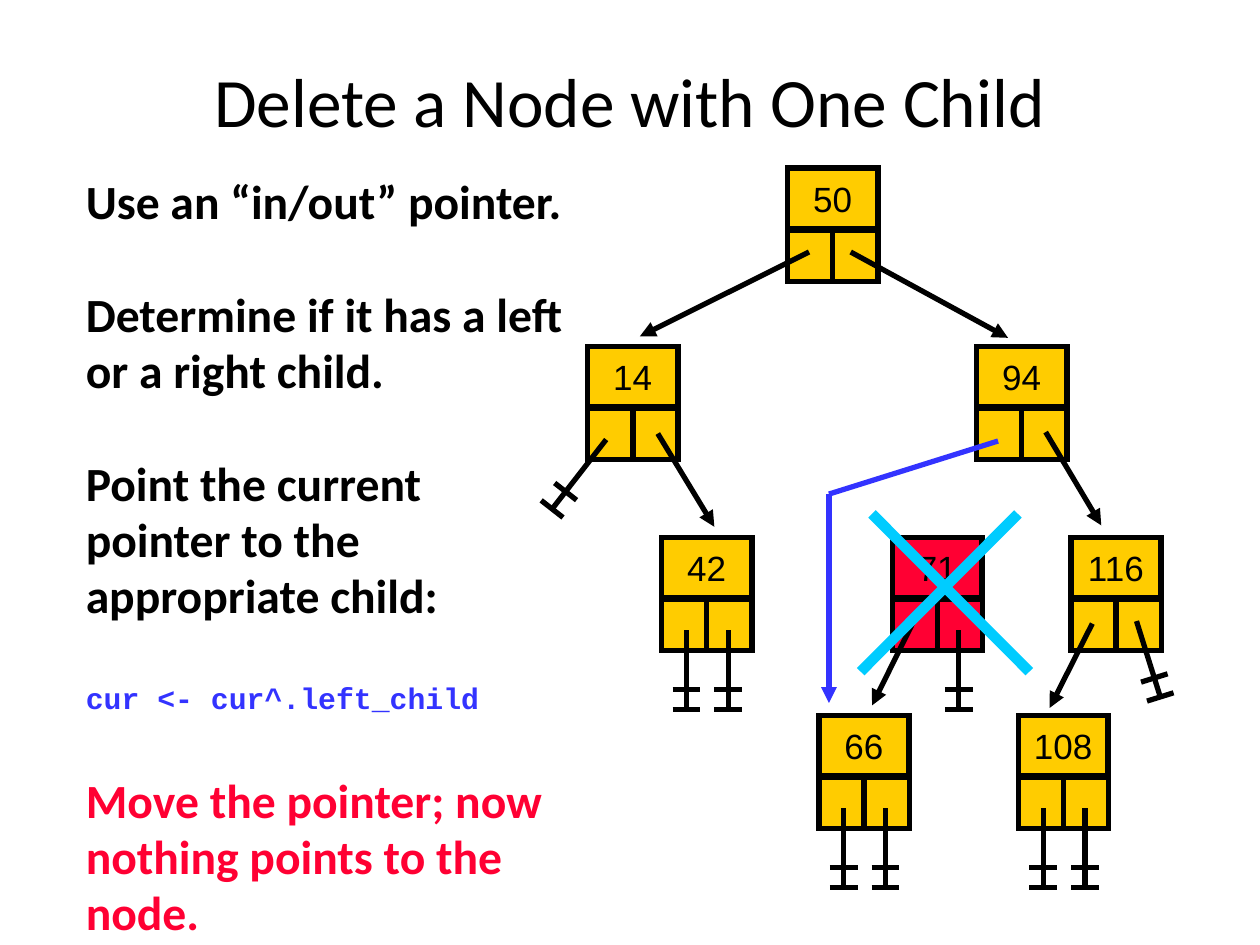
from dataclasses import dataclass
from math import hypot

from lxml import etree
from pptx import Presentation
from pptx import util as u
from pptx.dml.color import RGBColor
from pptx.enum import shapes, text
from pptx.oxml import ns

BLACK, GOLD, RED, BLUE, CYAN = "000000", "FFCC00", "FF0033", "3333FF", "00CCFF"

# Node geometry in cm
NODE_WIDTH, KEY_HEIGHT, LINK_HEIGHT = 1.82, 1.25, 1.04
LEVELS = (3.39, 6.98, 10.83, 14.42)
NULL_OFFSETS = {"L": 0.5, "R": 1.34}
NULL_TOP, NULL_LENGTH, BAR_HALF = 1.87, 1.6, 0.28


@dataclass
class Node:
    key: str
    left: float
    level: int
    nulls: str = ""
    fill: str = GOLD


@dataclass
class Line:
    start: tuple[float, float]
    end: tuple[float, float]
    color: str = BLACK
    width: float = 3
    arrow: bool = True


@dataclass
class Passage:
    words: str
    color: str = BLACK
    font: str = "Calibri"
    size: float = 27.2


NODES = [
    Node("14", 11.85, 1),
    Node("50", 15.88, 0),
    Node("94", 19.69, 1),
    Node("71", 17.99, 2, "R", RED),
    Node("116", 21.59, 2),
    Node("108", 20.53, 3, "LR"),
    Node("66", 16.51, 3, "LR"),
    Node("42", 13.34, 2, "LR"),
]
CHILD_POINTERS = [
    Line((13.26, 8.74), (14.4, 10.62)),
    Line((16.31, 5.08), (12.9, 6.78)),
    Line((17.15, 5.08), (20.32, 6.81)),
    Line((21.08, 8.71), (22.2, 10.59)),
    Line((18.42, 12.52), (17.58, 14.22)),
    Line((22.02, 12.57), (21.16, 14.27)),
]
SLANTED_NULLS = [((22.91, 12.52), (23.39, 14.05)), ((12.22, 8.86), (11.13, 10.26))]
NEW_POINTER = [
    Line((16.71, 9.96), (16.71, 14.17), BLUE),
    Line((16.71, 9.96), (20.12, 8.89), BLUE, arrow=False),
]
CROSS = [
    Line((20.52, 10.36), (17.35, 13.54), CYAN, 6, False),
    Line((17.58, 10.36), (20.75, 13.54), CYAN, 6, False),
]
STEPS = [
    Passage("Use an “in/out” pointer."),
    Passage("Determine if it has a left or a right child."),
    Passage("Point the current \vpointer to the appropriate child:"),
    Passage("cur <- cur^.left_child", BLUE, "Courier New", 17),
    Passage("Move the pointer; now nothing points to the node.", RED),
]


def rgb(color: str) -> RGBColor:
    return RGBColor.from_string(color)


def style(paragraph, font: str, size: float, color: str, bold: bool = False) -> None:
    paragraph.font.name = font
    paragraph.font.size = u.Pt(size)
    paragraph.font.bold = bold
    paragraph.font.color.rgb = rgb(color)


def add_text_frame(slide, left: float, top: float, width: float, height: float):
    box = slide.shapes.add_textbox(u.Cm(left), u.Cm(top), u.Cm(width), u.Cm(height))
    box.text_frame.word_wrap = True
    return box.text_frame


def draw_line(parent, line: Line) -> None:
    ends = [u.Cm(value) for value in (*line.start, *line.end)]
    connector = parent.shapes.add_connector(shapes.MSO_CONNECTOR.STRAIGHT, *ends)
    connector.line.color.rgb = rgb(line.color)
    connector.line.width = u.Pt(line.width)
    properties = connector._element.spPr
    if line.arrow:
        etree.SubElement(properties.get_or_add_ln(), ns.qn("a:tailEnd"), type="triangle")
    etree.SubElement(properties, ns.qn("a:effectLst"))


def draw_cell(parent, left: float, top: float, width: float, height: float, fill: str):
    cell = parent.shapes.add_shape(
        shapes.MSO_SHAPE.RECTANGLE, u.Cm(left), u.Cm(top), u.Cm(width), u.Cm(height))
    cell.shadow.inherit = False
    cell.fill.solid()
    cell.fill.fore_color.rgb = rgb(fill)
    cell.line.color.rgb = rgb(BLACK)
    cell.line.width = u.Pt(3)
    etree.SubElement(cell._element.spPr.get_or_add_ln(), ns.qn("a:miter"), lim="800000")
    return cell


def draw_node(slide, node: Node) -> None:
    group = slide.shapes.add_group_shape()
    top, half = LEVELS[node.level], NODE_WIDTH / 2
    draw_cell(group, node.left, top, NODE_WIDTH, KEY_HEIGHT, node.fill)
    for link_left in (node.left, node.left + half):
        draw_cell(group, link_left, top + KEY_HEIGHT, half, LINK_HEIGHT, node.fill)
    key = draw_cell(group, node.left, top, NODE_WIDTH - 0.01, KEY_HEIGHT - 0.03, node.fill)
    frame = key.text_frame
    frame.word_wrap = False
    frame.vertical_anchor = text.MSO_ANCHOR.MIDDLE
    label = frame.paragraphs[0]
    label.text = node.key
    label.alignment = text.PP_ALIGN.CENTER
    style(label, "Arial", 20, BLACK)


def draw_null(slide, start: tuple[float, float], end: tuple[float, float]) -> None:
    """Draw a stem with two bars across it, at three quarters and at its end."""
    group = slide.shapes.add_group_shape()
    draw_line(group, Line(start, end, arrow=False))
    dx, dy = end[0] - start[0], end[1] - start[1]
    across_x, across_y = (BAR_HALF * d / hypot(dx, dy) for d in (dy, -dx))
    for share in (0.75, 1):
        x, y = start[0] + share * dx, start[1] + share * dy
        draw_line(group, Line((x - across_x, y - across_y),
                              (x + across_x, y + across_y), arrow=False))


def main() -> None:
    deck = Presentation()
    deck.slide_width, deck.slide_height = u.Cm(25.4), u.Cm(19.05)
    slide = deck.slides.add_slide(deck.slide_layouts[6])

    # Title
    title_frame = add_text_frame(slide, 1.9, 1.07, 21.59, 1.9)
    title_frame.vertical_anchor = text.MSO_ANCHOR.MIDDLE
    title = title_frame.paragraphs[0]
    title.text = "Delete a Node with One Child"
    title.alignment = text.PP_ALIGN.CENTER
    style(title, "Calibri", 39.6, BLACK)

    # Steps
    steps_frame = add_text_frame(slide, 1.48, 3.39, 10.58, 14.4)
    for index, step in enumerate(STEPS):
        paragraph = steps_frame.add_paragraph() if index else steps_frame.paragraphs[0]
        paragraph.text = step.words
        paragraph.line_spacing = 0.98
        if index:
            paragraph.space_before = u.Pt(32.6)
        style(paragraph, step.font, step.size, step.color, bold=True)

    # Tree
    for node in NODES:
        draw_node(slide, node)
    for pointer in CHILD_POINTERS:
        draw_line(slide, pointer)
    for node in NODES:
        for side in node.nulls:
            x, y = node.left + NULL_OFFSETS[side], LEVELS[node.level] + NULL_TOP
            draw_null(slide, (x, y), (x, y + NULL_LENGTH))
    for start, end in SLANTED_NULLS:
        draw_null(slide, start, end)

    # Redirected pointer and deleted node
    for line in NEW_POINTER + CROSS:
        draw_line(slide, line)

    deck.save("out.pptx")


if __name__ == "__main__":
    main()
